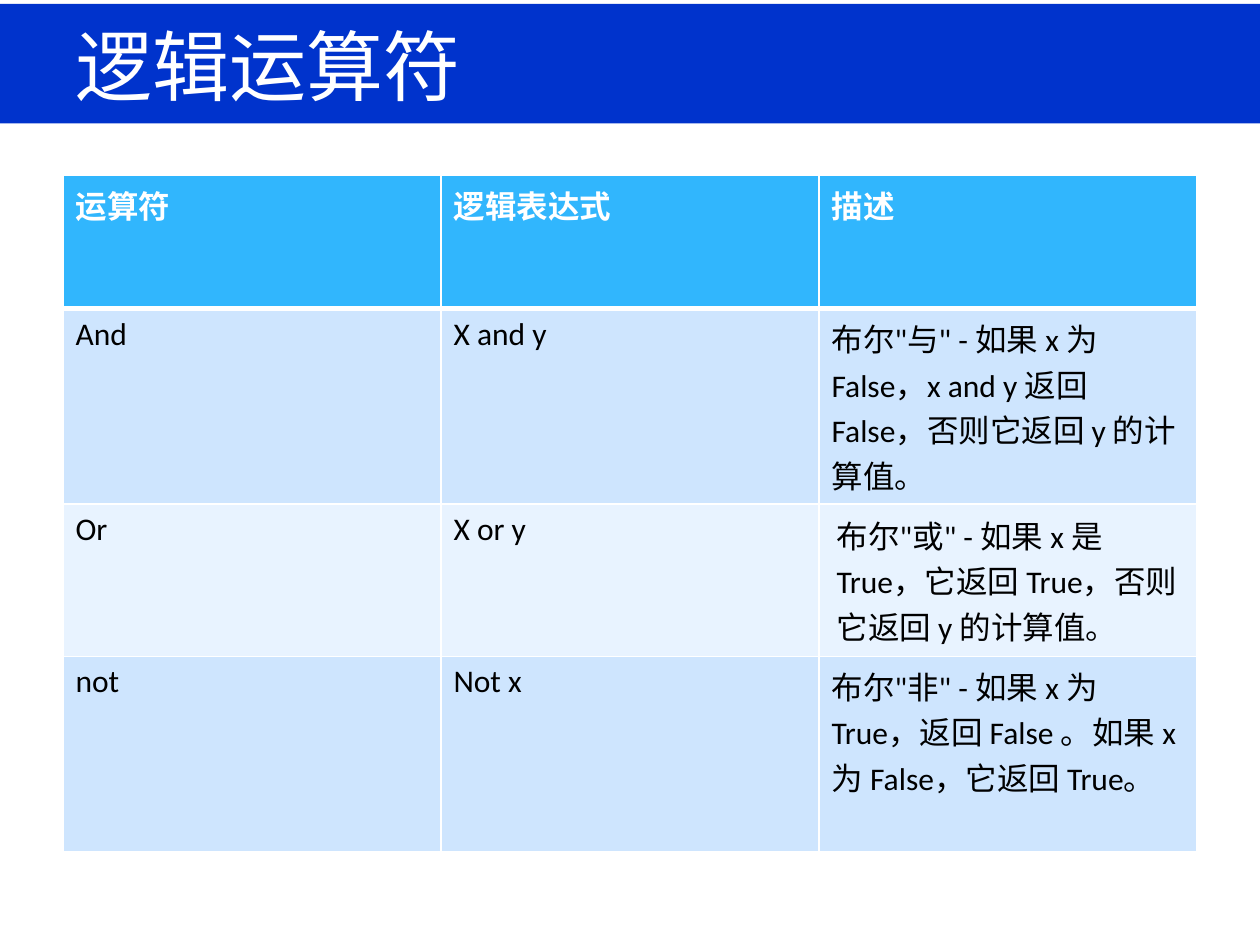
from lxml import etree
from pptx import Presentation
from pptx.dml.color import RGBColor
from pptx.enum import shapes, text
from pptx.oxml.ns import qn
from pptx.util import Inches, Pt

WHITE = RGBColor(0xFF, 0xFF, 0xFF)
BLACK = RGBColor(0, 0, 0)
BLUE = RGBColor(0x00, 0x33, 0xCC)
SKY = RGBColor(0x31, 0xB6, 0xFD)
BANDS = [RGBColor(0xE8, 0xF3, 0xFF), RGBColor(0xCE, 0xE5, 0xFE)]
LATIN, HAN = "Calibri", "Noto Sans CJK SC"

ROWS = [
    ("运算符", "逻辑表达式", "描述"),
    ("And", "X and y",
     '布尔"与" - 如果 x 为 False，x and y 返回 False，否则它返回 y 的计算值。'),
    ("Or", "X or y",
     '布尔"或" - 如果 x 是 True，它返回 True，否则它返回 y 的计算值。'),
    ("not", "Not x",
     '布尔"非" - 如果 x 为 True，返回 False 。如果 x 为 False，它返回 True。'),
]
# Tall enough for the wrapped descriptions
HEIGHTS = [1.06, 1.55, 1.21, 1.55]


def write(frame, words, color, **look):
    run = frame.paragraphs[0].add_run()
    run.text = words
    run.font.color.rgb = color
    for name, value in look.items():
        setattr(run.font, name, value)
    # East Asian typeface
    etree.SubElement(run.font._element, qn("a:ea"), typeface=HAN)


def add_band(slide):
    band = slide.shapes.add_shape(
        shapes.MSO_SHAPE.RECTANGLE,
        Inches(-0.03), Inches(0.03), Inches(10.03), Inches(0.95))
    band.shadow.inherit = False
    band.fill.solid()
    band.fill.fore_color.rgb = BLUE
    band.line.fill.background()


def add_title(slide, words):
    box = slide.shapes.add_textbox(
        Inches(0.5), Inches(0.13), Inches(9), Inches(0.77))
    frame = box.text_frame
    frame.word_wrap = True
    frame.vertical_anchor = text.MSO_ANCHOR.MIDDLE
    write(frame, words, WHITE, size=Pt(44), name=HAN)


def edge(cell, width_by_side):
    props = cell._tc.get_or_add_tcPr()
    for spot, (side, width) in enumerate(width_by_side.items()):
        line = etree.Element(qn("a:ln" + side), w=str(Pt(width)))
        fill = etree.SubElement(line, qn("a:solidFill"))
        etree.SubElement(fill, qn("a:srgbClr"), val=str(WHITE))
        props.insert(spot, line)


def add_grid(slide):
    grid = slide.shapes.add_table(
        len(ROWS), 3, Inches(0.5), Inches(1.39), Inches(9),
        Inches(sum(HEIGHTS))).table
    for r, row in enumerate(ROWS):
        grid.rows[r].height = Inches(HEIGHTS[r])
        head = r == 0
        for c, words in enumerate(row):
            cell = grid.cell(r, c)
            cell.fill.solid()
            cell.fill.fore_color.rgb = SKY if head else BANDS[r % 2]
            write(cell.text_frame, words, WHITE if head else BLACK,
                  size=Pt(18), name=LATIN, bold=head)
            edge(cell, {"L": 1, "R": 1, "T": 3 if r == 1 else 1,
                        "B": 3 if head else 1})
    # The "or" description is centred vertically with wider margins
    cell = grid.cell(2, 2)
    look = {"vertical_anchor": text.MSO_ANCHOR.MIDDLE,
            "margin_left": Inches(0.14), "margin_right": Inches(0.14),
            "margin_top": Inches(0.06), "margin_bottom": Inches(0.06)}
    for name, value in look.items():
        setattr(cell, name, value)


def main():
    deck = Presentation()
    deck.slide_width, deck.slide_height = Inches(10), Inches(7.5)
    slide = deck.slides.add_slide(deck.slide_layouts[6])
    add_band(slide)
    add_title(slide, "逻辑运算符")
    add_grid(slide)
    deck.save("out.pptx")


if __name__ == "__main__":
    main()
